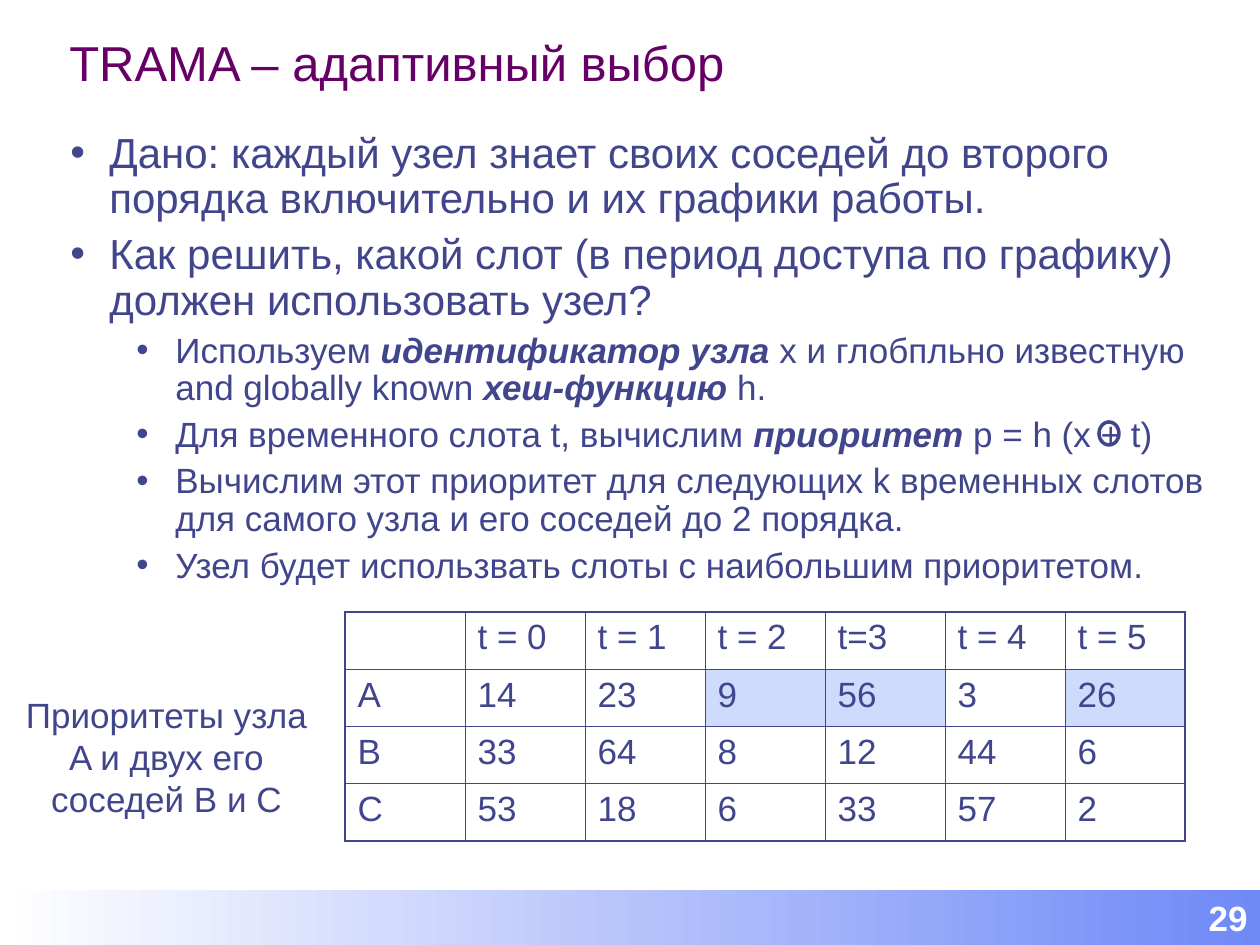
"""Build the TRAMA adaptive slot selection slide."""
from dataclasses import dataclass

import lxml.etree
import pptx
import pptx.dml.color
import pptx.enum.shapes
import pptx.enum.text
import pptx.oxml.ns
import pptx.util

EMU_PER_PX = 914400 / 126
INK, PLUM, WHITE = "40458C", "660066", "FFFFFF"
HIGHLIGHT, BAR_BLUE = "CFDBFD", "6F89F7"
THIN, THICK = 0.45, 1.08
ALIGN = pptx.enum.text.PP_ALIGN
ANCHOR = pptx.enum.text.MSO_ANCHOR
SHAPE = pptx.enum.shapes.MSO_SHAPE


@dataclass(frozen=True)
class Box:
    left: int
    top: int
    width: int
    height: int

    def emu(self) -> tuple:
        return tuple(px(n) for n in (self.left, self.top, self.width, self.height))


@dataclass(frozen=True)
class Level:
    size: int
    indent: int
    space_before: int


@dataclass(frozen=True)
class Phrase:
    text: str
    emphasised: bool = False


@dataclass(frozen=True)
class Bullet:
    level: int
    phrases: tuple


LEVELS = (Level(24, 39, 6), Level(20, 105, 5))
HANGING = 39

BULLETS = (
    Bullet(0, (Phrase("Дано: каждый узел знает своих соседей до второго порядка "
                      "включительно и их графики работы."),)),
    Bullet(0, (Phrase("Как решить, какой слот (в период доступа по графику) "
                      "должен использовать узел?"),)),
    Bullet(1, (Phrase("Используем "), Phrase("идентификатор узла ", True),
               Phrase("x и глобпльно известную and globally known "),
               Phrase("хеш-функцию ", True), Phrase("h."))),
    Bullet(1, (Phrase("Для временного слота t, вычислим "),
               Phrase("приоритет ", True), Phrase("p = h (x + t)"))),
    Bullet(1, (Phrase("Вычислим этот приоритет для следующих k временных слотов "
                      "для самого узла и его соседей до 2 порядка."),)),
    Bullet(1, (Phrase("Узел будет использвать слоты с наибольшим приоритетом."),)),
)

PRIORITIES = (
    ("", "t = 0", "t = 1", "t = 2", "t=3", "t = 4", "t = 5"),
    ("A", "14", "23", "9", "56", "3", "26"),
    ("B", "33", "64", "8", "12", "44", "6"),
    ("C", "53", "18", "6", "33", "57", "2"),
)
WON_SLOTS = {(1, 3), (1, 4), (1, 6)}


def px(length: int) -> int:
    return round(length * EMU_PER_PX)


def colour(value: str) -> pptx.dml.color.RGBColor:
    return pptx.dml.color.RGBColor.from_string(value)


def add_xml(parent, tag: str, **attributes: str):
    return lxml.etree.SubElement(parent, pptx.oxml.ns.qn(tag), attributes)


def style(paragraph, size: int, ink: str = INK, bold: bool = False) -> None:
    font = paragraph.font
    font.name, font.size, font.bold = "Arial", pptx.util.Pt(size), bold
    font.color.rgb = colour(ink)


def add_text(slide, box: Box, text: str, size: int, ink: str = INK,
             align=ALIGN.LEFT, anchor=ANCHOR.TOP) -> None:
    frame = slide.shapes.add_textbox(*box.emu()).text_frame
    frame.word_wrap, frame.vertical_anchor = True, anchor
    frame.text = text
    frame.paragraphs[0].alignment = align
    style(frame.paragraphs[0], size, ink)


def add_bullets(slide, box: Box, bullets: tuple) -> None:
    frame = slide.shapes.add_textbox(*box.emu()).text_frame
    frame.word_wrap = True
    for number, bullet in enumerate(bullets):
        paragraph = frame.add_paragraph() if number else frame.paragraphs[0]
        level = LEVELS[bullet.level]
        paragraph.level = bullet.level
        paragraph.line_spacing = 0.9
        paragraph.space_before = pptx.util.Pt(level.space_before if number else 0)
        properties = paragraph._p.get_or_add_pPr()
        properties.set("marL", str(px(level.indent)))
        properties.set("indent", str(-px(HANGING)))
        add_xml(add_xml(properties, "a:buClr"), "a:srgbClr", val=INK)
        add_xml(properties, "a:buFont", typeface="Arial")
        add_xml(properties, "a:buChar", char="•")
        style(paragraph, level.size)
        for phrase in bullet.phrases:
            run = paragraph.add_run()
            run.text = phrase.text
            if phrase.emphasised:
                run.font.bold = run.font.italic = True


def set_borders(cell, widths: dict) -> None:
    properties = cell._tc.get_or_add_tcPr()
    for side, width in widths.items():
        line = add_xml(properties, f"a:ln{side}", w=str(pptx.util.Pt(width)))
        add_xml(add_xml(line, "a:solidFill"), "a:srgbClr", val=INK)


def add_priorities(slide, box: Box, rows: tuple) -> None:
    last_row, last_column = len(rows) - 1, len(rows[0]) - 1
    table = slide.shapes.add_table(len(rows), len(rows[0]), *box.emu()).table
    table.first_row = table.horz_banding = False
    for r, row in enumerate(rows):
        for c, value in enumerate(row):
            cell = table.cell(r, c)
            set_borders(cell, {
                "L": THIN if c else THICK,
                "R": THICK if c == last_column else THIN,
                "T": THIN if r else THICK,
                "B": THICK if r == last_row else THIN,
            })
            if (r, c) in WON_SLOTS:
                cell.fill.solid()
                cell.fill.fore_color.rgb = colour(HIGHLIGHT)
            else:
                cell.fill.background()
            cell.text = value
            style(cell.text_frame.paragraphs[0], 20)


def add_footer(slide, box: Box, number: str) -> None:
    bar = slide.shapes.add_shape(SHAPE.RECTANGLE, *box.emu())
    bar.shadow.inherit = False
    bar.line.fill.background()
    bar.fill.gradient()
    bar.fill.gradient_angle = 0
    for stop, shade, place in zip(bar.fill.gradient_stops, (WHITE, BAR_BLUE), (0, 1)):
        stop.color.rgb = colour(shade)
        stop.position = place
    frame = bar.text_frame
    frame.vertical_anchor = ANCHOR.MIDDLE
    frame.text = number
    frame.paragraphs[0].alignment = ALIGN.RIGHT
    style(frame.paragraphs[0], 20, WHITE, bold=True)


def add_xor_ring(slide, box: Box) -> None:
    ring = slide.shapes.add_shape(SHAPE.OVAL, *box.emu())
    ring.shadow.inherit = False
    ring.fill.background()
    ring.line.color.rgb = colour(INK)
    ring.line.width = pptx.util.Pt(2)


def main() -> None:
    deck = pptx.Presentation()
    deck.slide_width, deck.slide_height = px(1260), px(945)
    slide = deck.slides.add_slide(deck.slide_layouts[6])
    add_text(slide, Box(57, 20, 1176, 78), "TRAMA – адаптивный выбор", 28, PLUM,
             anchor=ANCHOR.BOTTOM)
    add_bullets(slide, Box(58, 126, 1169, 479), BULLETS)
    add_priorities(slide, Box(345, 612, 840, 229), PRIORITIES)
    add_text(slide, Box(5, 687, 323, 139),
             "Приоритеты узла A и двух его соседей B и C", 20, align=ALIGN.CENTER)
    add_footer(slide, Box(0, 890, 1260, 55), "29")
    add_xor_ring(slide, Box(1099, 422, 20, 23))
    deck.save("out.pptx")


if __name__ == "__main__":
    main()
